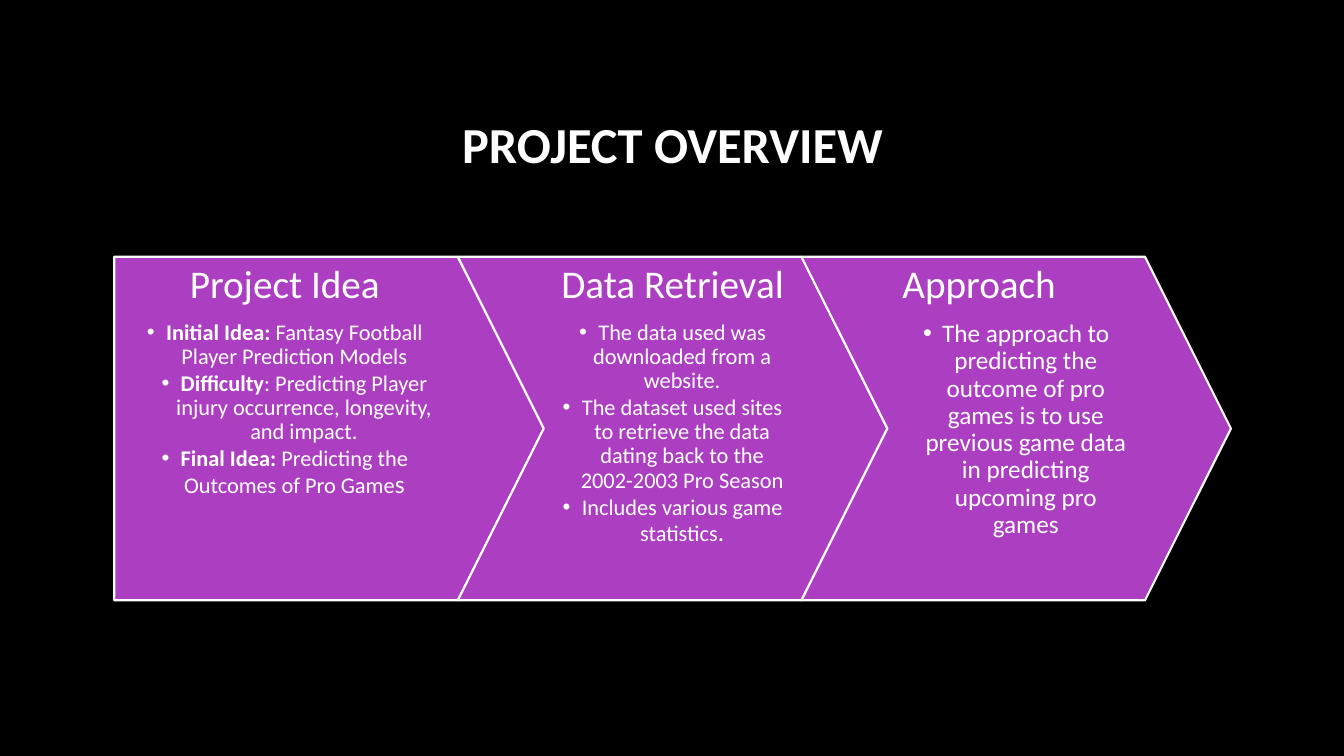
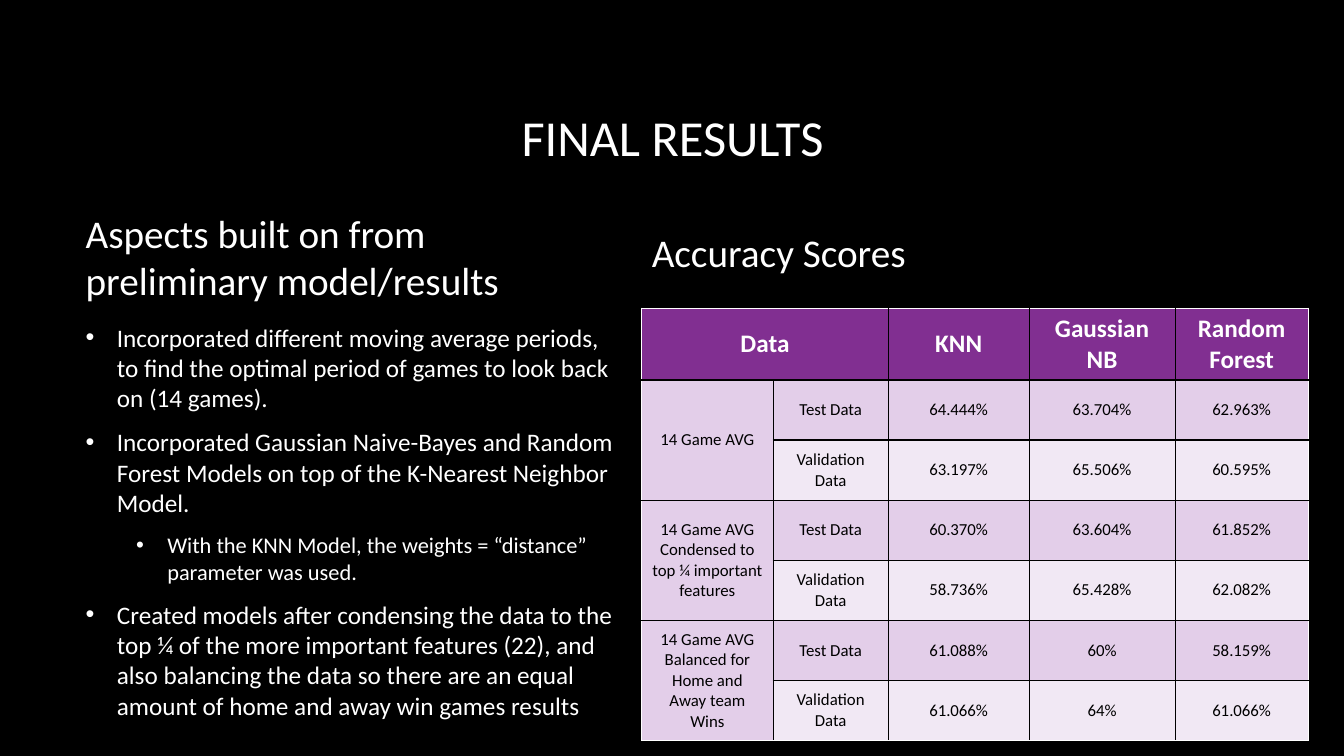
from lxml.etree import SubElement
from pptx import Presentation
from pptx.dml.color import RGBColor
from pptx.enum.shapes import MSO_SHAPE as Preset
from pptx.enum.text import MSO_ANCHOR as Anchor, MSO_AUTO_SIZE as AutoSize, PP_ALIGN as Align
from pptx.oxml.ns import qn
from pptx.util import Inches, Pt

UNIT = Inches(0.852)
MARGIN = 1.33
STEP_TOP = 2.99
BLACK, WHITE = "000000", "FFFFFF"
PURPLE, HEADER, DARK_BAND, LIGHT_BAND = "AC3EC1", "812F91", "E3CEE9", "F1E8F4"
FONT = "Calibri"
LIST_INDENT = 0.31
STEP_INDENT = 0.19

STEPS = [
    ("Project Idea", Preset.PENTAGON, Align.CENTER, [
        (1, [("Initial Idea: ", 16, True), ("Fantasy Football Player Prediction Models", 16, False)]),
        (2, [("Difficulty", 16, True),
             (": Predicting Player injury occurrence, longevity, and impact.", 16, False)]),
        (1, [("Final Idea: ", 16, True), ("Predicting the Outcomes of Pro Game", 16, False),
             ("s", 18, False)]),
    ]),
    ("Data Retrieval", Preset.CHEVRON, Align.CENTER, [
        (1, [("The data used was downloaded from a website.", 16, False)]),
        (1, [("The dataset used sites to retrieve the data dating back to the 2002-2003 Pro Season", 16, False)]),
        (1, [("Includes various game statistics", 16, False), (".", 18, False)]),
    ]),
    ("Approach", Preset.CHEVRON, Align.LEFT, [
        (1, [("The approach to predicting the outcome of pro games is to use previous game data "
              "in predicting upcoming pro games", 18, False)]),
    ]),
]

ASPECTS = [
    (0, "Incorporated different moving average periods, to find the optimal period of games "
        "to look back on (14 games)."),
    (0, "Incorporated Gaussian Naive-Bayes and Random Forest Models on top of the "
        "K-Nearest Neighbor Model."),
    (1, "With the KNN Model, the weights = “distance” parameter was used."),
    (0, "Created models after condensing the data to the top ¼ of the more important features (22), "
        "and also balancing the data so there are an equal amount of home and away win games results"),
]

SCORE_HEADER = ["Data", "", "KNN", "Gaussian NB", "Random Forest"]
SCORES = [
    ("14 Game AVG",
     ["64.444%", "63.704%", "62.963%"], ["63.197%", "65.506%", "60.595%"]),
    ("14 Game AVG\nCondensed to top ¼ important features",
     ["60.370%", "63.604%", "61.852%"], ["58.736%", "65.428%", "62.082%"]),
    ("14 Game AVG\nBalanced for Home and Away team Wins",
     ["61.088%", "60%", "58.159%"], ["61.066%", "64%", "61.066%"]),
]
SCORE_COLUMNS = [1.53, 1.34, 1.64, 1.7, 1.55]
SCORE_ROWS = [0.83] + [0.7] * 6


def color(value):
    """Turn a hex string into a colour."""
    return RGBColor.from_string(value)


def grid(*lengths):
    """Turn grid units into slide lengths."""
    return [round(length * UNIT) for length in lengths]


def place(shape, *box):
    """Move a shape to a box given in grid units."""
    shape.left, shape.top, shape.width, shape.height = grid(*box)


def style_run(run, size, value=WHITE, bold=False):
    """Give a run its font, size, colour and weight."""
    run.font.name, run.font.size, run.font.bold = FONT, Pt(size), bold
    run.font.color.rgb = color(value)


def style_paragraph(paragraph, align, after=0, spacing=1.0):
    """Set alignment and spacing of a paragraph."""
    paragraph.alignment = align
    paragraph.line_spacing = spacing
    paragraph.space_before, paragraph.space_after = Pt(0), Pt(after)


def add_bullet(paragraph, margin, hang):
    """Add a round bullet with a hanging indent."""
    properties = paragraph._p.get_or_add_pPr()
    properties.set("marL", str(Inches(margin)))
    properties.set("indent", str(-Inches(hang)))
    SubElement(properties, qn("a:buFont")).set("typeface", "Arial")
    SubElement(properties, qn("a:buChar")).set("char", "•")


def fill_line(shape, text, size, align, bold=False, after=0):
    """Write one styled line into a placeholder."""
    frame = shape.text_frame
    frame.text, frame.auto_size = text, AutoSize.NONE
    style_paragraph(frame.paragraphs[0], align, after)
    style_run(frame.paragraphs[0].runs[0], size, bold=bold)


def set_title(slide, text, top, bold=False):
    """Fill the title in the shared style."""
    title = slide.shapes.title
    place(title, MARGIN, top, 13, 1.87)
    fill_line(title, text, 36, Align.CENTER, bold)
    title.text_frame.vertical_anchor = Anchor.MIDDLE


def set_heading(placeholder, text, left, top):
    """Fill a column heading that stands on its lower edge."""
    place(placeholder, left, top, 6.41, 0.74)
    fill_line(placeholder, text, 28, Align.LEFT, after=10)
    placeholder.text_frame.vertical_anchor = Anchor.BOTTOM


def set_list(placeholder, items):
    """Fill the bulleted list with two levels."""
    place(placeholder, 0.88, 3.69, 6.41, 4.47)
    frame = placeholder.text_frame
    frame.text = "\n".join(text for _, text in items)
    frame.auto_size = AutoSize.NONE
    for paragraph, (level, _) in zip(frame.paragraphs, items):
        paragraph.level = level
        style_paragraph(paragraph, Align.LEFT, 10)
        add_bullet(paragraph, LIST_INDENT + 0.5 * level, LIST_INDENT)
        style_run(paragraph.runs[0], 18 - 2 * level)


def add_arrow(slide, preset, left):
    """Draw one process arrow."""
    arrow = slide.shapes.add_shape(preset, *grid(left, STEP_TOP, 5, 4))
    arrow.adjustments[0] = 0.25
    arrow.shadow.inherit = False
    arrow.fill.solid()
    arrow.fill.fore_color.rgb = color(PURPLE)
    arrow.line.color.rgb = color(WHITE)
    arrow.line.width = Pt(1.5)


def add_step_text(slide, heading, align, bullets, left, width, right_inset):
    """Write the heading and bullets of one process step."""
    frame = slide.shapes.add_textbox(*grid(left, STEP_TOP, width, 4)).text_frame
    frame.word_wrap = True
    frame.margin_left, frame.margin_right = Inches(0.15), Inches(right_inset)
    frame.margin_top = frame.margin_bottom = Inches(0.08)
    frame.text = heading
    style_paragraph(frame.paragraphs[0], align, 9.8, 0.9)
    style_run(frame.paragraphs[0].runs[0], 28)
    for level, parts in bullets:
        paragraph = frame.add_paragraph()
        paragraph.level = level
        style_paragraph(paragraph, Align.CENTER, 2, 0.9)
        add_bullet(paragraph, STEP_INDENT * level, STEP_INDENT)
        for text, size, bold in parts:
            run = paragraph.add_run()
            run.text = text
            style_run(run, size, bold=bold)


def set_border(cell, side, value):
    """Draw one side of a cell."""
    line = SubElement(cell._tc.get_or_add_tcPr(), qn(f"a:ln{side}"), w=str(Pt(1)))
    SubElement(SubElement(line, qn("a:solidFill")), qn("a:srgbClr")).set("val", value)


def style_cell(cell, text, fill, size, value, bold, outer):
    """Write a cell and set its borders and fill."""
    cell.text = text
    cell.vertical_anchor = Anchor.MIDDLE
    for side in "LRTB":
        set_border(cell, side, WHITE if side in outer else BLACK)
    cell.fill.solid()
    cell.fill.fore_color.rgb = color(fill)
    for paragraph in cell.text_frame.paragraphs:
        paragraph.alignment = Align.CENTER
        for run in paragraph.runs:
            style_run(run, size, value, bold)


def outer_sides(cell, row, column):
    """Name the sides of a cell that lie on the table's edge."""
    edges = {"L": column == 0, "T": row == 0,
             "R": column == len(SCORE_COLUMNS) - 1,
             "B": row + max(cell.span_height, 1) == len(SCORE_ROWS)}
    return [side for side, at_edge in edges.items() if at_edge]


def add_scores(slide):
    """Build the table of accuracy scores."""
    rows = [SCORE_HEADER]
    for label, test, validation in SCORES:
        rows += [[label, "Test Data", *test], ["", "Validation Data", *validation]]
    box = grid(7.47, 3.59, sum(SCORE_COLUMNS), sum(SCORE_ROWS))
    table = slide.shapes.add_table(len(rows), len(SCORE_COLUMNS), *box).table
    for column, width in zip(table.columns, grid(*SCORE_COLUMNS)):
        column.width = width
    for row, height in zip(table.rows, grid(*SCORE_ROWS)):
        row.height = height
    table.cell(0, 0).merge(table.cell(0, 1))
    for top in range(1, len(rows), 2):
        table.cell(top, 0).merge(table.cell(top + 1, 0))
    for row, texts in enumerate(rows):
        band = DARK_BAND if row % 2 else LIGHT_BAND
        look = (band, 12, BLACK, False) if row else (HEADER, 18, WHITE, True)
        for column, text in enumerate(texts):
            cell = table.cell(row, column)
            if not cell.is_spanned:
                style_cell(cell, text, *look, outer_sides(cell, row, column))


def build_overview(presentation):
    """Build the slide with the three process steps."""
    slide = presentation.slides.add_slide(presentation.slide_layouts[5])
    set_title(slide, "PROJECT OVERVIEW", 0.74, bold=True)
    for index, (heading, preset, align, bullets) in enumerate(STEPS):
        left = MARGIN + 4 * index
        add_arrow(slide, preset, left)
        text_box = (left + 1, 3, 0.15) if index else (left, 4.5, 0.6)
        add_step_text(slide, heading, align, bullets, *text_box)


def build_results(presentation):
    """Build the slide with the list and the score table."""
    slide = presentation.slides.add_slide(presentation.slide_layouts[4])
    set_title(slide, "FINAL RESULTS", 0.65)
    _, left_heading, aspects, right_heading, unused = slide.placeholders
    set_heading(left_heading, "Aspects built on from preliminary model/results", 0.88, 2.85)
    set_list(aspects, ASPECTS)
    set_heading(right_heading, "Accuracy Scores", 7.47, 2.52)
    unused.element.getparent().remove(unused.element)
    add_scores(slide)


def main():
    """Build and save the presentation."""
    presentation = Presentation()
    presentation.slide_width, presentation.slide_height = Inches(13.33), Inches(7.5)
    background = presentation.slide_master.background.fill
    background.solid()
    background.fore_color.rgb = color(BLACK)
    build_overview(presentation)
    build_results(presentation)
    presentation.save("out.pptx")


if __name__ == "__main__":
    main()
